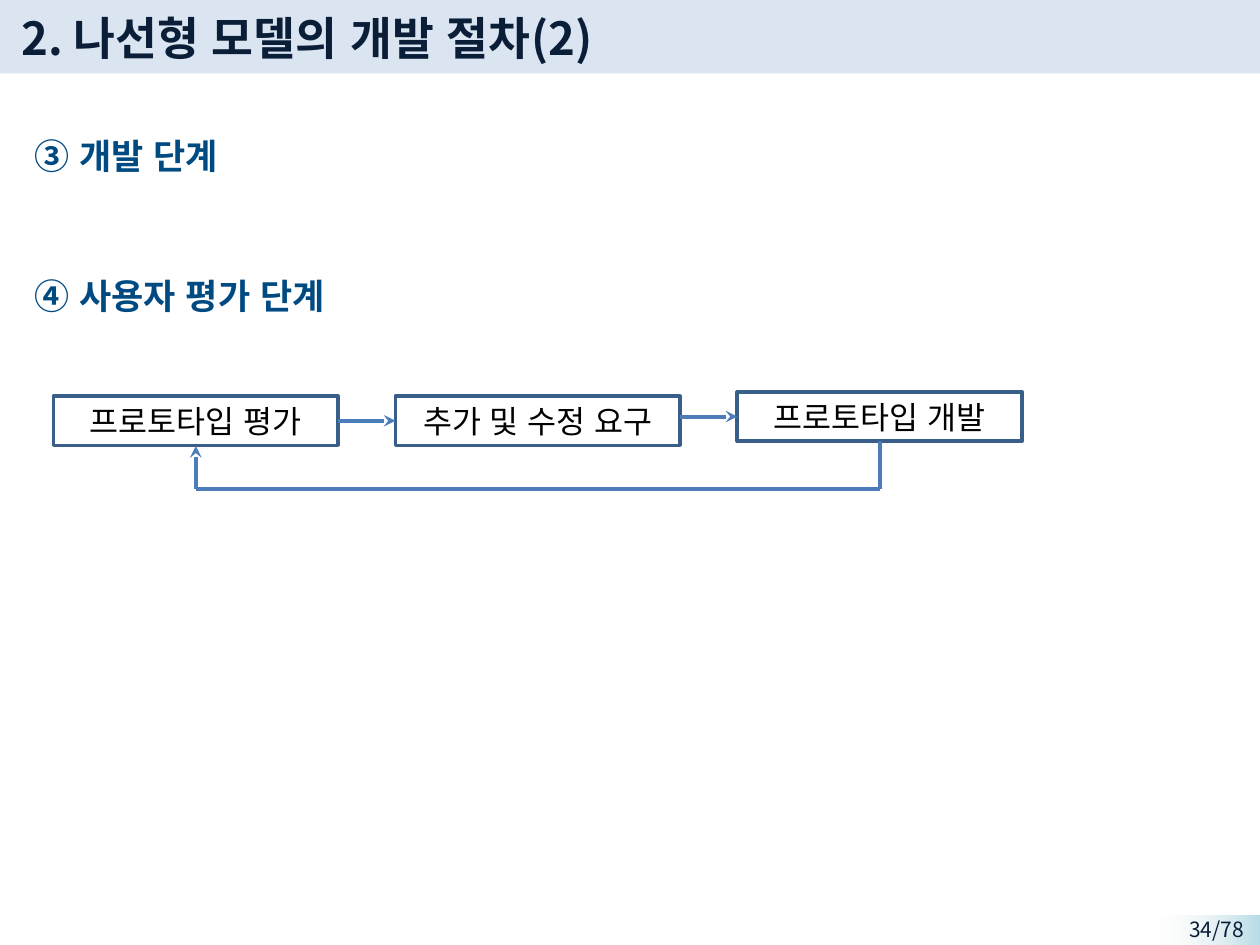
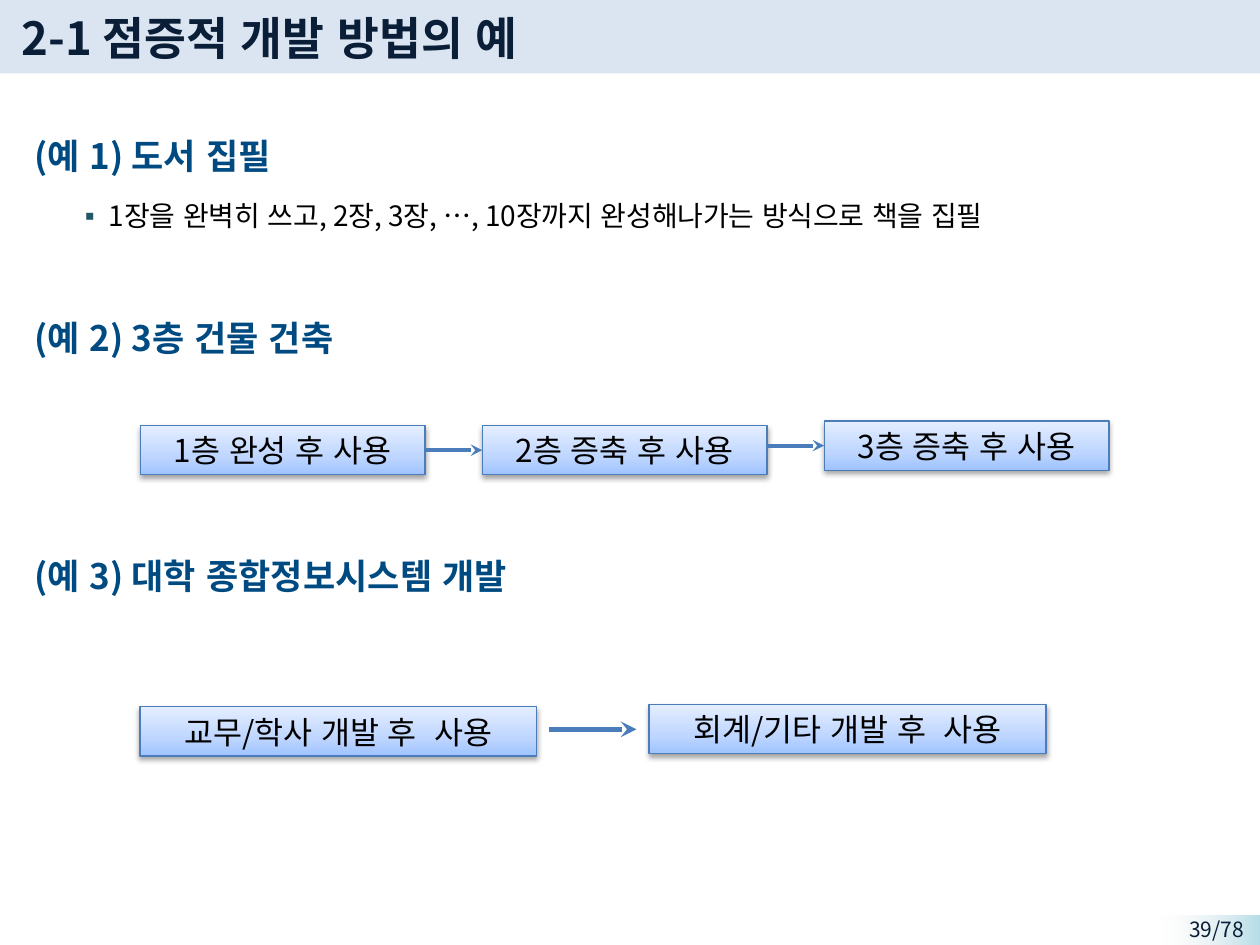
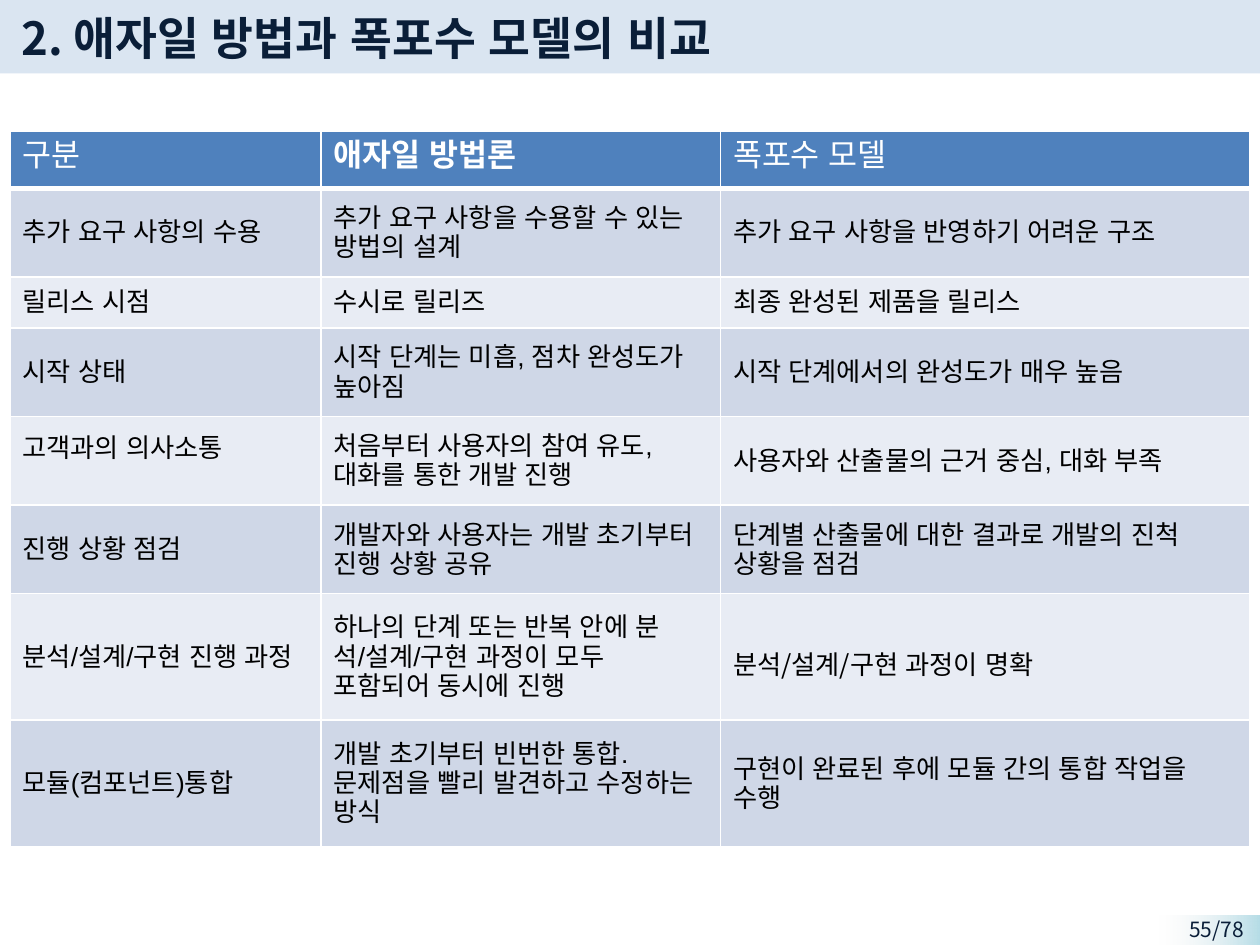
import pptx
import pptx.dml.color
import pptx.enum.shapes
import pptx.enum.text
import pptx.oxml
import pptx.oxml.ns
import pptx.util

Pt = pptx.util.Pt
qn = pptx.oxml.ns.qn
ALIGN = pptx.enum.text.PP_ALIGN
ANCHOR = pptx.enum.text.MSO_ANCHOR

FONT = "Noto Sans CJK KR"
TABLE_FONT = EAST_ASIAN_FONT = "Arial"
NAVY, HEADING, BLACK, WHITE = "0A1E38", "004A82", "000000", "FFFFFF"
BAND, BULLET = "DAE5F1", "205867"
BOX_LINE, ARROW = "395E89", "4A7DBA"
HEADER_FILL, ROW_FILLS = "4F81BD", ("CFD7E7", "E8ECF4")
BOX_STOPS = [(0, "9FC3FF", 100), (35, "BDD5FF", 100), (100, "E4EEFF", 100)]
PAGE_STOPS = [(0, "B6DDE7", 100), (100, "F2F2F2", 0)]
BOX_H = 28.1
TOTAL_PAGES = 78


def rgb(color):
    return pptx.dml.color.RGBColor.from_string(color)


def add_xml(parent, tag, **attrs):
    el = parent.makeelement(qn(tag), {k: str(v) for k, v in attrs.items()})
    parent.append(el)
    return el


def add_run(p, text, size, color, bold=False, font=FONT):
    r = p.add_run()
    r.text = text
    r.font.size, r.font.bold, r.font.name = Pt(size), bold, font
    r.font.color.rgb = rgb(color)
    add_xml(r._r.get_or_add_rPr(), "a:ea", typeface=EAST_ASIAN_FONT)


def place(sp, left, top, width, height):
    sp.left, sp.top, sp.width, sp.height = Pt(left), Pt(top), Pt(width), Pt(height)


def set_gradient(sp, stops, angle):
    sp.fill.gradient()
    grad = sp._element.spPr.find(qn("a:gradFill"))
    for child in list(grad):
        grad.remove(child)
    gs_list = add_xml(grad, "a:gsLst")
    for pos, color, alpha in stops:
        gs = add_xml(gs_list, "a:gs", pos=pos * 1000)
        clr = add_xml(gs, "a:srgbClr", val=color)
        add_xml(clr, "a:alpha", val=alpha * 1000)
    add_xml(grad, "a:lin", ang=angle * 60000, scaled=0)


def add_rect(slide, left, top, width, height):
    sp = slide.shapes.add_shape(pptx.enum.shapes.MSO_SHAPE.RECTANGLE,
                                Pt(left), Pt(top), Pt(width), Pt(height))
    sp.shadow.inherit = False
    return sp


def add_box(slide, text, left, top, width, shaded):
    sp = add_rect(slide, left, top, width, BOX_H)
    sp.line.color.rgb = rgb(ARROW if shaded else BOX_LINE)
    sp.line.width = Pt(0.75 if shaded else 2)
    if shaded:
        set_gradient(sp, BOX_STOPS, 270)
        effects = sp._element.spPr.find(qn("a:effectLst"))
        shadow = add_xml(effects, "a:outerShdw", blurRad=Pt(3.1), dist=Pt(1.6),
                         dir=90 * 60000, rotWithShape=0)
        clr = add_xml(shadow, "a:srgbClr", val=BLACK)
        add_xml(clr, "a:alpha", val=37000)
    else:
        sp.fill.background()
    tf = sp.text_frame
    tf.word_wrap = True
    tf.vertical_anchor = ANCHOR.MIDDLE
    p = tf.paragraphs[0]
    p.alignment = ALIGN.CENTER
    add_run(p, text, 18, BLACK)


def add_line(slide, x1, y1, x2, y2, width=2.25, arrow=True):
    cn = slide.shapes.add_connector(pptx.enum.shapes.MSO_CONNECTOR.STRAIGHT,
                                    Pt(x1), Pt(y1), Pt(x2), Pt(y2))
    cn.line.color.rgb = rgb(ARROW)
    cn.line.width = Pt(width)
    if arrow:
        add_xml(cn.line._get_or_add_ln(), "a:tailEnd", type="stealth")
    add_xml(cn._element.spPr, "a:effectLst")


def add_chain(slide, labels, left, top, width, pitch, lift, shaded,
              gap=0, weight=2.25):
    """A row of boxes joined by arrows; the last box sits slightly higher."""
    for i, label in enumerate(labels):
        x = left + i * pitch
        y = top - (lift if i == len(labels) - 1 else 0)
        add_box(slide, label, x, y, width, shaded)
        if i:
            mid = y + BOX_H / 2
            add_line(slide, x - pitch + width + gap, mid, x - gap, mid, weight)


def add_slide(prs, layout, title, page):
    slide = prs.slides.add_slide(prs.slide_layouts[layout])
    # Title band and page number field, behind the title
    band = add_rect(slide, 0, -1.5, 720, 43.5)
    band.fill.solid()
    band.fill.fore_color.rgb = rgb(BAND)
    field = add_rect(slide, 662.4, 523.2, 57.6, 17.3)
    set_gradient(field, PAGE_STOPS, 180)
    for i, sp in enumerate((band, field)):
        sp.line.fill.background()
        slide.shapes._spTree.insert(2 + i, sp._element)
    number = slide.shapes.add_textbox(Pt(651.8), Pt(520.2), Pt(66.2), Pt(16.6))
    number.text_frame.word_wrap = True
    p = number.text_frame.paragraphs[0]
    p.alignment = ALIGN.RIGHT
    add_run(p, f"{page}/{TOTAL_PAGES}", 12, NAVY)
    # Title
    place(slide.shapes.title, 5, 2.9, 612.7, 37.4)
    tf = slide.shapes.title.text_frame
    tf.auto_size = pptx.enum.text.MSO_AUTO_SIZE.NONE
    tf.vertical_anchor = ANCHOR.MIDDLE
    p = tf.paragraphs[0]
    p.alignment = ALIGN.LEFT
    add_run(p, title, 26, NAVY, True)
    return slide


def fill_body(slide, items):
    """Each item is (level, text, space before)."""
    body = slide.placeholders[1]
    place(body, 5.3, 61.2, 705.6, 446.4)
    tf = body.text_frame
    tf.auto_size = pptx.enum.text.MSO_AUTO_SIZE.NONE
    for i, (level, text, before) in enumerate(items):
        p = tf.add_paragraph() if i else tf.paragraphs[0]
        p.level = level
        p.line_spacing = 1.5
        p.space_before = Pt(before)
        pPr = p._p.get_or_add_pPr()
        pPr.set("marL", str(Pt(49.7 if level else 7.2)))
        pPr.set("indent", str(Pt(-13.7 if level else 0)))
        if level:
            clr = add_xml(pPr, "a:buClr")
            add_xml(clr, "a:srgbClr", val=BULLET)
            add_xml(pPr, "a:buFont", typeface=TABLE_FONT)
            add_xml(pPr, "a:buChar", char="▪")
            add_run(p, text, 16, BLACK)
        else:
            add_xml(pPr, "a:buNone")
            add_run(p, text, 20, HEADING, True)


def set_borders(cell, bottom):
    tcPr = cell._tc.get_or_add_tcPr()
    sides = (("a:lnL", 1), ("a:lnR", 1), ("a:lnT", 1), ("a:lnB", bottom))
    for i, (tag, width) in enumerate(sides):
        ln = add_xml(tcPr, tag, w=Pt(width))
        add_xml(add_xml(ln, "a:solidFill"), "a:srgbClr", val=WHITE)
        tcPr.insert(i, ln)


def add_table(slide, rows, left, top, widths, heights):
    frame = slide.shapes.add_table(len(rows), len(widths), Pt(left), Pt(top),
                                   Pt(sum(widths)), Pt(sum(heights)))
    table = frame.table
    for col, width in zip(table.columns, widths):
        col.width = Pt(width)
    for i, texts in enumerate(rows):
        table.rows[i].height = Pt(heights[i])
        for j, text in enumerate(texts):
            cell = table.cell(i, j)
            cell.fill.solid()
            cell.fill.fore_color.rgb = rgb(ROW_FILLS[(i - 1) % 2] if i else HEADER_FILL)
            set_borders(cell, 1 if i else 3)
            cell.vertical_anchor = ANCHOR.MIDDLE if i else ANCHOR.TOP
            for n, line in enumerate(text.split("\n")):
                tf = cell.text_frame
                p = tf.add_paragraph() if n else tf.paragraphs[0]
                if i:
                    font = FONT if (i, j) == (6, 2) else TABLE_FONT
                    add_run(p, line, 15, BLACK, font=font)
                else:
                    add_run(p, line, 18, WHITE, j == 1, TABLE_FONT)
    return table


COMPARISON = [
    ("구분", "애자일 방법론", "폭포수 모델"),
    ("추가 요구 사항의 수용", "추가 요구 사항을 수용할 수 있는 방법의 설계",
     "추가 요구 사항을 반영하기 어려운 구조"),
    ("릴리스 시점", "수시로 릴리즈", "최종 완성된 제품을 릴리스"),
    ("시작 상태", "시작 단계는 미흡, 점차 완성도가 높아짐",
     "시작 단계에서의 완성도가 매우 높음"),
    ("고객과의 의사소통", "처음부터 사용자의 참여 유도, 대화를 통한 개발 진행",
     "사용자와 산출물의 근거 중심, 대화 부족"),
    ("진행 상황 점검", "개발자와 사용자는 개발 초기부터 진행 상황 공유",
     "단계별 산출물에 대한 결과로 개발의 진척 상황을 점검"),
    ("분석/설계/구현 진행 과정",
     "하나의 단계 또는 반복 안에 분석/설계/구현 과정이 모두\n포함되어 동시에 진행",
     "분석/설계/구현 과정이 명확"),
    ("모듈(컴포넌트)통합",
     "개발 초기부터 빈번한 통합.\n문제점을 빨리 발견하고 수정하는 방식",
     "구현이 완료된 후에 모듈 간의 통합 작업을 수행"),
]


def main():
    prs = pptx.Presentation()
    prs.slide_width, prs.slide_height = Pt(720), Pt(540)

    # Spiral model: evaluation loop
    slide = add_slide(prs, 1, "2. 나선형 모델의 개발 절차(2)", 34)
    fill_body(slide, [(0, "③ 개발 단계", 0), (0, "④ 사용자 평가 단계", 44)])
    add_chain(slide, ["프로토타입 평가", "추가 및 수정 요구", "프로토타입 개발"],
              30.5, 226.4, 162.7, 195.4, 2.4, False)
    start_x, end_x, loop_y = 503, 111.9, 279.4
    add_line(slide, start_x, 252, start_x, loop_y, arrow=False)
    add_line(slide, start_x, loop_y, end_x, loop_y, arrow=False)
    add_line(slide, end_x, loop_y, end_x, 254.9)

    # Incremental development examples
    slide = add_slide(prs, 1, "2-1 점증적 개발 방법의 예", 39)
    fill_body(slide, [
        (0, "(예 1) 도서 집필", 0),
        (1, "1장을 완벽히 쓰고, 2장, 3장, …, 10장까지 완성해나가는 방식으로 책을 집필", 3.2),
        (0, "(예 2) 3층 건물 건축", 36),
        (0, "(예 3) 대학 종합정보시스템 개발", 100),
    ])
    add_chain(slide, ["1층 완성 후 사용", "2층 증축 후 사용", "3층 증축 후 사용"],
              80.2, 243.2, 162.7, 195.4, 2.6, True)
    add_chain(slide, ["교무/학사 개발 후  사용", "회계/기타 개발 후  사용"],
              80, 403.9, 226.8, 290.9, 1.2, True, gap=7.2, weight=3)

    # Agile and waterfall comparison
    slide = add_slide(prs, 5, "2. 애자일 방법과 폭포수 모델의 비교", 55)
    one, two, three = 29.3, 50.6, 72.3
    table = add_table(slide, COMPARISON, 5.7, 75, (177.8, 228.2, 302.4),
                      (32.6, two, one, two, two, two, three, three))
    table.cell(4, 0).margin_bottom = Pt(18.5)
    table.cell(6, 2).margin_top = Pt(10.5)

    prs.save("out.pptx")


if __name__ == "__main__":
    main()
